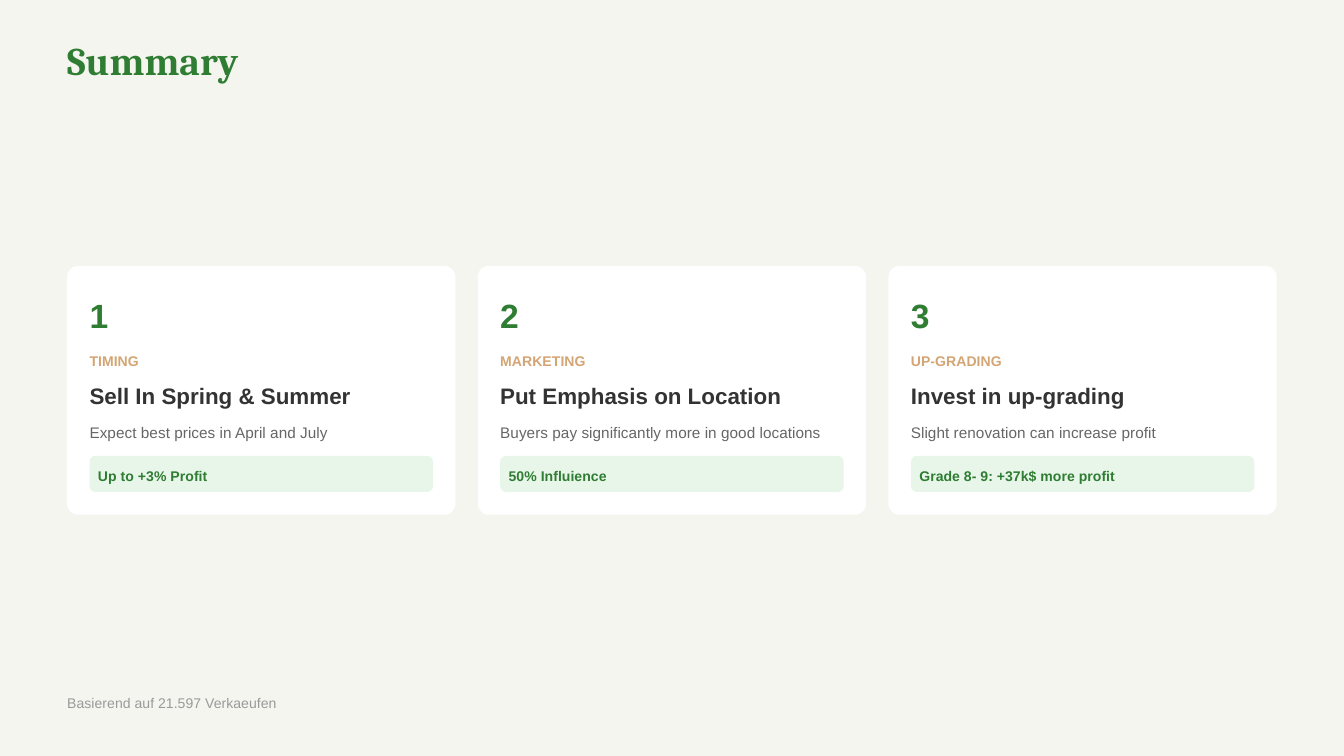
from dataclasses import dataclass

from pptx import Presentation
from pptx.dml.color import RGBColor
from pptx.enum.shapes import MSO_SHAPE as Shape
from pptx.enum.text import MSO_ANCHOR as Anchor, MSO_AUTO_SIZE as AutoSize, PP_ALIGN as Align
from pptx.util import Inches, Pt

PX = Inches(1) / 288


@dataclass(frozen=True)
class TextStyle:
    size: float
    color: str
    bold: bool = True
    font: str = "Arial"
    leading: float = 1.4


@dataclass(frozen=True)
class Theme:
    background: str = "F5F5F0"
    card: str = "FFFFFF"
    badge: str = "E8F5E9"
    title: TextStyle = TextStyle(21, "2E7D32", font="Cambria", leading=1)
    number: TextStyle = TextStyle(18, "2E7D32")
    label: TextStyle = TextStyle(7.5, "D4A574")
    heading: TextStyle = TextStyle(12, "333333")
    detail: TextStyle = TextStyle(8.25, "666666", bold=False)
    result: TextStyle = TextStyle(7.5, "2E7D32")
    footer: TextStyle = TextStyle(7.5, "999999", bold=False)


def emu(*lengths):
    return [round(length * PX) for length in lengths]


class SlideBuilder:
    def __init__(self, page, theme):
        self.page = page
        self.theme = theme
        fill = page.background.fill
        fill.solid()
        fill.fore_color.rgb = RGBColor.from_string(theme.background)

    def set_text(self, box, text, style):
        frame = box.text_frame
        frame.margin_left = frame.margin_right = 0
        frame.margin_top = frame.margin_bottom = 0
        frame.vertical_anchor = Anchor.TOP
        frame.auto_size = AutoSize.NONE
        frame.word_wrap = True
        frame.text = text
        para = frame.paragraphs[0]
        para.alignment = Align.LEFT
        para.line_spacing = Pt(style.size * style.leading)
        para.font.name = style.font
        para.font.size = Pt(style.size)
        para.font.bold = style.bold
        para.font.color.rgb = RGBColor.from_string(style.color)

    def title(self, text, left, top, width, height):
        box = self.page.shapes.title
        box.left, box.top, box.width, box.height = emu(left, top, width, height)
        self.set_text(box, text, self.theme.title)

    def text(self, text, style, left, top, width, height):
        box = self.page.shapes.add_textbox(*emu(left, top, width, height))
        self.set_text(box, text, style)

    def panel(self, color, radius, left, top, width, height):
        shape = self.page.shapes.add_shape(
            Shape.ROUNDED_RECTANGLE, *emu(left, top, width, height))
        shape.adjustments[0] = radius / min(width, height)
        shape.shadow.inherit = False
        shape.fill.solid()
        shape.fill.fore_color.rgb = RGBColor.from_string(color)
        shape.line.fill.background()

    def card(self, left, top, width, height, number, label, heading, detail, result):
        theme, padding = self.theme, 48
        inner = left + padding
        self.panel(theme.card, 24, left, top, width, height)
        rows = (
            (number, theme.number, 48, 101),
            (label, theme.label, 179, 42),
            (heading, theme.heading, 239, 67),
            (detail, theme.detail, 331, 46),
        )
        for text, style, offset, row_height in rows:
            self.text(text, style, inner, top + offset, 752, row_height)
        self.panel(theme.badge, 12, inner, top + 407, width - 2 * padding, 77)
        self.text(result, theme.result, inner + 18, top + 426, 714, 42)


CARDS = (
    ("TIMING", "Sell In Spring & Summer",
     "Expect best prices in April and July", "Up to +3% Profit"),
    ("MARKETING", "Put Emphasis on Location",
     "Buyers pay significantly more in good locations", "50% Influience"),
    ("UP-GRADING", "Invest in up-grading",
     "Slight renovation can increase profit", "Grade 8- 9: +37k$ more profit"),
)


def main():
    deck = Presentation()
    deck.slide_width, deck.slide_height = emu(2880, 1620)
    page = deck.slides.add_slide(deck.slide_layouts[5])
    theme = Theme()
    builder = SlideBuilder(page, theme)

    margin, gap, card_width = 144, 48, 832
    builder.title("Summary", margin, 95, 1325, 84)
    for index, content in enumerate(CARDS):
        left = margin + index * (card_width + gap)
        builder.card(left, 570, card_width, 533, str(index + 1), *content)
    builder.text("Basierend auf 21.597 Verkaeufen", theme.footer, margin, 1483, 2644, 42)

    deck.save("out.pptx")


if __name__ == "__main__":
    main()
